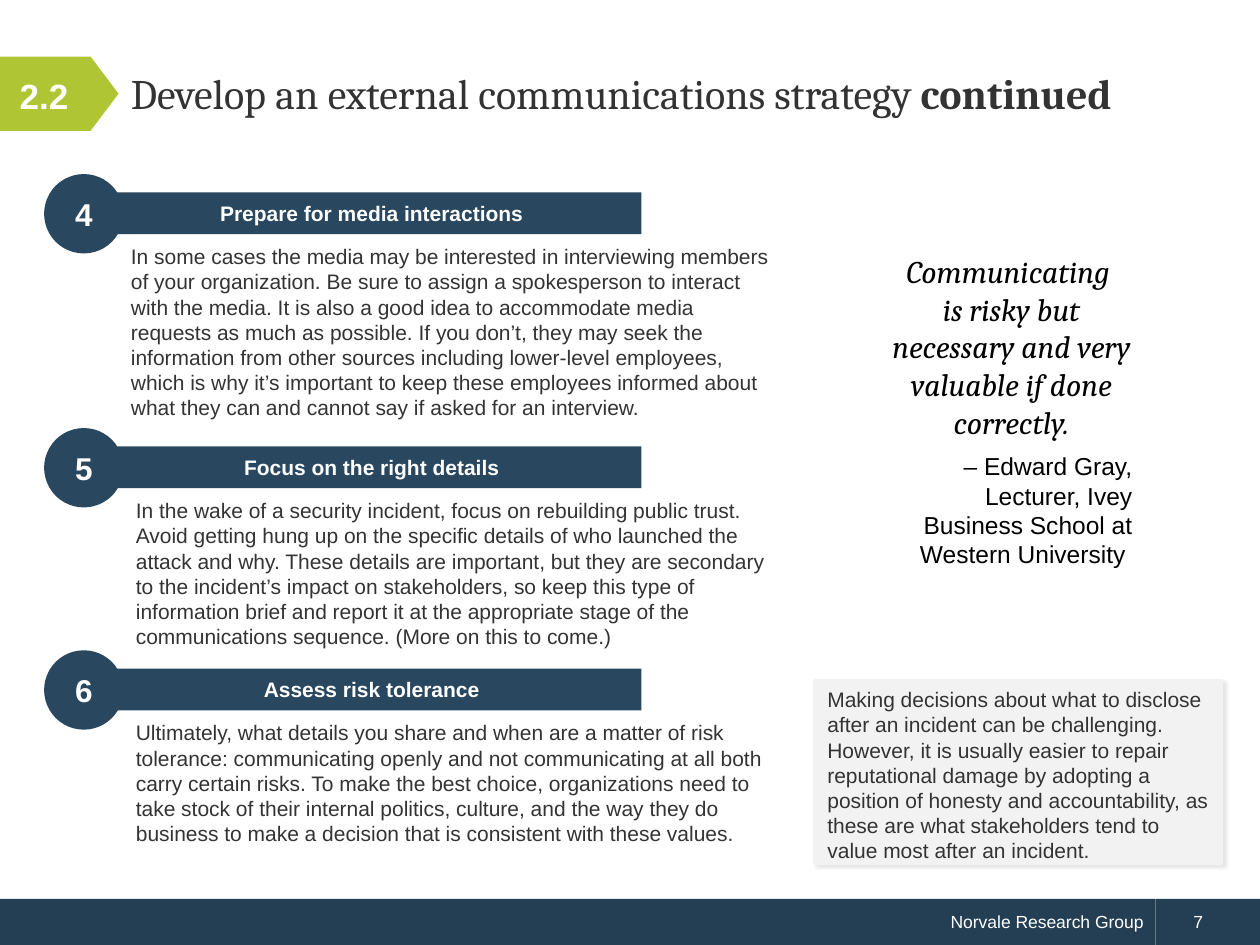
import pptx
import pptx.dml.color
import pptx.enum.shapes
import pptx.enum.text
import pptx.oxml
import pptx.oxml.ns
import pptx.util
from pptx.util import Cm

SHAPE = pptx.enum.shapes.MSO_SHAPE
ALIGN = pptx.enum.text.PP_ALIGN
ANCHOR = pptx.enum.text.MSO_ANCHOR

COLOURS = {
    "white": "FFFFFF",
    "black": "000000",
    "text": "333333",
    "navy": "29475F",
    "footer": "243F54",
    "lime": "B0C534",
    "panel": "F2F2F2",
}

# Heading number, heading, text, top of the section, left of its text (cm)
SECTIONS = [
    ("4", "Prepare for media interactions",
     "In some cases the media may be interested in interviewing members of your "
     "organization. Be sure to assign a spokesperson to interact with the media. It is "
     "also a good idea to accommodate media requests as much as possible. If you don’t, "
     "they may seek the information from other sources including lower-level employees, "
     "which is why it’s important to keep these employees informed about what they can "
     "and cannot say if asked for an interview.", 3.51, 2.39),
    ("5", "Focus on the right details",
     "In the wake of a security incident, focus on rebuilding public trust. Avoid getting "
     "hung up on the specific details of who launched the attack and why. These details "
     "are important, but they are secondary to the incident’s impact on stakeholders, so "
     "keep this type of information brief and report it at the appropriate stage of the "
     "communications sequence. (More on this to come.)", 8.63, 2.49),
    ("6", "Assess risk tolerance",
     "Ultimately, what details you share and when are a matter of risk tolerance: "
     "communicating openly and not communicating at all both carry certain risks. To make "
     "the best choice, organizations need to take stock of their internal politics, "
     "culture, and the way they do business to make a decision that is consistent with "
     "these values.", 13.11, 2.49),
]
NOTE = ("Making decisions about what to disclose after an incident can be challenging. "
        "However, it is usually easier to repair reputational damage by adopting a position "
        "of honesty and accountability, as these are what stakeholders tend to value most "
        "after an incident.")


def rgb(name):
    return pptx.dml.color.RGBColor.from_string(COLOURS[name])


def add_span(para, text, size, colour="text", font="Arial", bold=False, italic=False):
    span = para.add_run()
    span.text = text
    span.font.size = pptx.util.Pt(size)
    span.font.name = font
    span.font.bold = bold
    span.font.italic = italic
    span.font.color.rgb = rgb(colour)


def first_para(box, align=ALIGN.LEFT, anchor=ANCHOR.TOP):
    frame = box.text_frame
    frame.word_wrap = True
    frame.vertical_anchor = anchor
    para = frame.paragraphs[0]
    para.alignment = align
    return para


def add_block(page, kind, left, top, width, height, colour):
    box = page.shapes.add_shape(kind, Cm(left), Cm(top), Cm(width), Cm(height))
    box.shadow.inherit = False
    box.fill.solid()
    box.fill.fore_color.rgb = rgb(colour)
    box.line.fill.background()
    return box


def add_text_box(page, left, top, width, height):
    return page.shapes.add_textbox(Cm(left), Cm(top), Cm(width), Cm(height))


def add_header(page, left, top, width, height):
    # Step tag
    tag_width = 2.39
    tag = add_block(page, SHAPE.PENTAGON, left, top + 0.41, tag_width, 1.5, "lime")
    tag.adjustments[0] = 0.376
    label = add_text_box(page, left, top, 1.78, height)
    add_span(first_para(label, ALIGN.CENTER, ANCHOR.MIDDLE), "2.2", 20, "white", bold=True)

    # Title
    title = add_text_box(page, left + tag_width, top, width - tag_width, height)
    para = first_para(title, anchor=ANCHOR.MIDDLE)
    para.line_spacing = pptx.util.Pt(26)
    add_span(para, "Develop an external communications strategy ", 24, font="Cambria")
    add_span(para, "continued", 24, font="Cambria", bold=True)


def add_section(page, left, top, right, number, heading, text, text_left):
    # Heading bar, with the number disc over its left end
    bar = add_block(page, SHAPE.RECTANGLE, left + 1.17, top + 0.37, 10.87, 0.84, "navy")
    add_span(first_para(bar, ALIGN.CENTER, ANCHOR.MIDDLE), heading, 12, "white", bold=True)
    disc = add_block(page, SHAPE.OVAL, left, top, 1.6, 1.6, "navy")
    add_span(first_para(disc, ALIGN.CENTER, ANCHOR.MIDDLE), number, 18, "white", bold=True)

    # Body text
    body = add_text_box(page, text_left, top + 1.28, right - text_left, 3.3)
    add_span(first_para(body), text, 12)


def add_quote(page, left, top, width, height):
    box = add_text_box(page, left, top, width, height)
    quote = first_para(box, ALIGN.CENTER)
    quote.space_after = pptx.util.Pt(6)
    add_span(quote, "Communicating ", 18, "black", "Cambria", italic=True)
    quote.add_line_break()
    add_span(quote, "is risky but necessary and very valuable if done correctly.",
             18, "black", "Cambria", italic=True)
    source = box.text_frame.add_paragraph()
    source.alignment = ALIGN.RIGHT
    source.space_after = pptx.util.Pt(6)
    add_span(source, "– Edward Gray, Lecturer, Ivey Business School at Western University ",
             14, "black")


def add_note(page, left, top, width, height):
    box = add_block(page, SHAPE.RECTANGLE, left, top, width, height, "panel")
    box.line.color.rgb = rgb("panel")
    box.line.width = pptx.util.Pt(2)
    # Soft shadow to the lower right
    effects = box._element.spPr.find(pptx.oxml.ns.qn("a:effectLst"))
    effects.append(pptx.oxml.parse_xml(
        f'<a:outerShdw {pptx.oxml.ns.nsdecls("a")} blurRad="25400" dist="25400" dir="2700000">'
        f'<a:srgbClr val="{COLOURS["black"]}"><a:alpha val="10000"/></a:srgbClr>'
        '</a:outerShdw>'))
    para = first_para(box)
    para.space_after = pptx.util.Pt(6)
    add_span(para, NOTE, 12)


def add_footer(page, left, top, width, height):
    number_width = 2.1
    name_width = width - number_width
    name = add_block(page, SHAPE.RECTANGLE, left, top, name_width, height, "footer")
    add_span(first_para(name, ALIGN.RIGHT, ANCHOR.MIDDLE), "Norvale Research Group", 10, "white")
    number = add_block(page, SHAPE.RECTANGLE, left + name_width, top, number_width, height,
                       "footer")
    number.text_frame.margin_left = Cm(0.76)
    add_span(first_para(number, anchor=ANCHOR.MIDDLE), "7", 10, "white")


def main():
    deck = pptx.Presentation()
    deck.slide_width = Cm(25.4)
    deck.slide_height = Cm(19.05)
    page = deck.slides.add_slide(deck.slide_layouts[6])

    add_footer(page, 0, 18.12, 25.4, 0.93)
    add_header(page, 0, 0.73, 24.64, 2.39)
    for number, heading, text, top, text_left in SECTIONS:
        add_section(page, 0.89, top, 15.77, number, heading, text, text_left)
    add_note(page, 16.43, 13.72, 8.2, 3.68)
    add_quote(page, 17.7, 4.95, 5.38, 6.71)

    deck.save("out.pptx")


if __name__ == "__main__":
    main()
